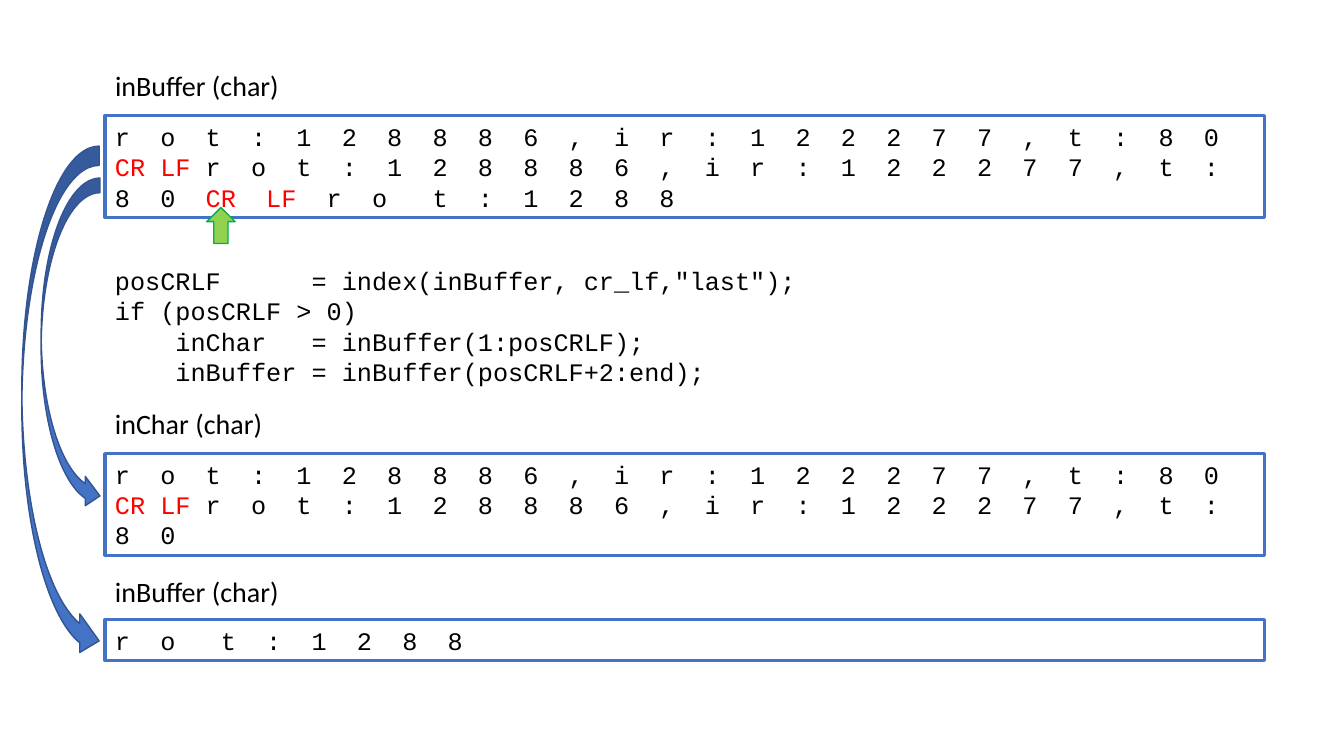
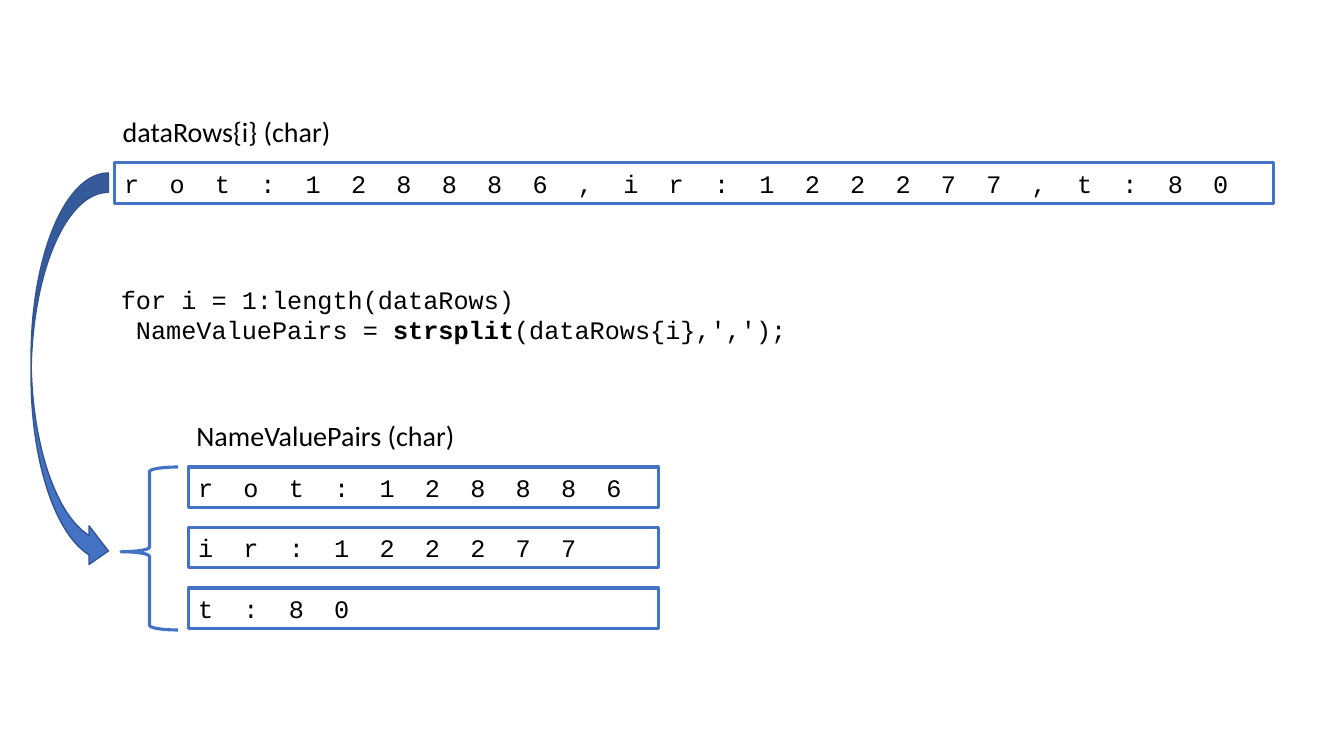
from pptx import Presentation
from pptx.dml.color import RGBColor
from pptx.enum.shapes import MSO_SHAPE as Preset
from pptx.enum.text import MSO_ANCHOR as Anchor, MSO_AUTO_SIZE as AutoSize, PP_ALIGN as Align
from pptx.util import Inches, Pt

BLACK = RGBColor(0x00, 0x00, 0x00)
RED = RGBColor(0xFF, 0x00, 0x00)
BLUE = RGBColor(0x44, 0x72, 0xC4)
DARK_BLUE = RGBColor(0x32, 0x54, 0x91)
LIME = RGBColor(0x92, 0xD0, 0x50)
GREEN = RGBColor(0x00, 0xB0, 0x50)

CODE_FONT = {"name": "Courier New", "size": Pt(18), "bold": False}
LABEL_FONT = {"name": "Calibri", "size": Pt(20), "bold": False}
CODE_FRAME = {"word_wrap": True, "auto_size": AutoSize.SHAPE_TO_FIT_TEXT}
LABEL_FRAME = {"word_wrap": True, "auto_size": AutoSize.NONE, "vertical_anchor": Anchor.MIDDLE}
LABEL_PARAGRAPH = {"line_spacing": 0.9, "alignment": Align.LEFT}
CODE_PARAGRAPH = {"alignment": Align.LEFT}

presentation = Presentation()
presentation.slide_width = Inches(13.33)
presentation.slide_height = Inches(7.5)
TITLE_ONLY = presentation.slide_layouts[5]

# The slide is a grid of 16 columns and 9 rows; areas are left, top, width, height.
COLUMN = presentation.slide_width / 16
ROW = presentation.slide_height / 9
LABEL_WIDTH, LABEL_HEIGHT = 6.02, 0.68
BOX_WIDTH, LINE_HEIGHT, THREE_LINES = 13.8, 0.48, 1.21


def grid(left, top, width, height):
    return [round(n) for n in (left * COLUMN, top * ROW, width * COLUMN, height * ROW)]


def write(shape, lines, is_label=False):
    """Fill a shape with lines; a line is a list of (text, colour, bold) runs."""
    frame = shape.text_frame
    frame_format, paragraph_format, font_format = (
        (LABEL_FRAME, LABEL_PARAGRAPH, LABEL_FONT) if is_label
        else (CODE_FRAME, CODE_PARAGRAPH, CODE_FONT))
    for name, value in frame_format.items():
        setattr(frame, name, value)
    for index, line in enumerate(lines):
        paragraph = frame.add_paragraph() if index else frame.paragraphs[0]
        for name, value in paragraph_format.items():
            setattr(paragraph, name, value)
        for text, colour, bold in line:
            run = paragraph.add_run()
            run.text = text
            for name, value in font_format.items():
                setattr(run.font, name, value)
            run.font.bold = bold
            run.font.color.rgb = colour


RECORD = "r  o  t  :  1  2  8  8  8  6  ,  i  r  :  1  2  2  2  7  7  ,  t  :  8  0"
REST = "r  o   t  :  1  2  8  8"
FIRST_RECORD = [(RECORD + " ", BLACK, False), ("CR LF ", RED, False)]
PAIR_TOP, PAIR_STEP = 5.56, 0.72

slides = [
    {
        "labels": [
            ("inBuffer (char)", 1.25, 0.7),
            ("inChar (char)", 1.25, 4.72),
            ("inBuffer (char)", 1.25, 6.73),
        ],
        "boxes": [
            ((1.25, 1.38, BOX_WIDTH, THREE_LINES),
             FIRST_RECORD + [(RECORD + "  ", BLACK, False), ("CR  LF  ", RED, False),
                             (REST, BLACK, False)]),
            ((1.25, 5.4, BOX_WIDTH, THREE_LINES), FIRST_RECORD + [(RECORD, BLACK, False)]),
            ((1.25, 7.38, BOX_WIDTH, LINE_HEIGHT), [(REST, BLACK, False)]),
        ],
        "code_area": (1.25, 3.1, 9.86, 1.57),
        "code": [
            [('posCRLF      = index(inBuffer, cr_lf,"last");', BLACK, False)],
            [("if (posCRLF > 0)", BLACK, False)],
            [("    inChar   = inBuffer(1:posCRLF);", BLACK, False)],
            [("    inBuffer = inBuffer(posCRLF+2:end);", BLACK, False)],
        ],
        "arrows": [
            (Preset.UP_ARROW, (2.46, 2.47, 0.34, 0.43), LIME, GREEN),
            (Preset.CURVED_RIGHT_ARROW, (0.49, 2.12, 0.7, 3.96), BLUE, DARK_BLUE),
            (Preset.CURVED_RIGHT_ARROW, (0.26, 1.74, 0.92, 6.12), BLUE, DARK_BLUE),
        ],
    },
    {
        "labels": [("dataRows{i} (char)", 1.34, 1.25), ("NameValuePairs (char)", 2.22, 4.87)],
        "boxes": [((1.36, 1.94, BOX_WIDTH, LINE_HEIGHT), [(RECORD, BLACK, False)])] + [
            ((2.24, PAIR_TOP + index * PAIR_STEP, 5.6, LINE_HEIGHT), [(pair, BLACK, False)])
            for index, pair in enumerate(RECORD.split("  ,  "))
        ],
        "code_area": (1.32, 3.32, 9.88, 0.85),
        "code": [
            [("for i = 1:length(dataRows)", BLACK, False)],
            [(" NameValuePairs = ", BLACK, False), ("strsplit", BLACK, True),
             ("(dataRows{i},',');", BLACK, False)],
        ],
        "arrows": [(Preset.CURVED_RIGHT_ARROW, (0.37, 2.06, 0.92, 4.73), BLUE, DARK_BLUE)],
    },
]

for content in slides:
    slide = presentation.slides.add_slide(TITLE_ONLY)
    shapes = slide.shapes

    for area, runs in content["boxes"]:
        box = shapes.add_shape(Preset.RECTANGLE, *grid(*area))
        box.shadow.inherit = False
        box.fill.background()
        box.line.color.rgb = BLUE
        box.line.width = Pt(2.25)
        write(box, [runs])

    # The first label is the slide's title.
    for index, (text, left, top) in enumerate(content["labels"]):
        area = grid(left, top, LABEL_WIDTH, LABEL_HEIGHT)
        label = shapes.add_textbox(*area) if index else shapes.title
        for name, value in zip(("left", "top", "width", "height"), area):
            setattr(label, name, value)
        write(label, [[(text, BLACK, False)]], is_label=True)

    write(shapes.add_textbox(*grid(*content["code_area"])), content["code"])

    for preset, area, fill, outline in content["arrows"]:
        arrow = shapes.add_shape(preset, *grid(*area))
        arrow.shadow.inherit = False
        arrow.fill.solid()
        arrow.fill.fore_color.rgb = fill
        arrow.line.color.rgb = outline
        arrow.line.width = Pt(1)

brace = shapes.add_shape(Preset.LEFT_BRACE, *grid(1.44, PAIR_TOP, 0.68, 1.94))
brace.shadow.inherit = False
brace.adjustments[0] = 0.08
brace.adjustments[1] = 0.52
brace.fill.background()
brace.line.color.rgb = BLUE
brace.line.width = Pt(2.25)

presentation.save("out.pptx")
